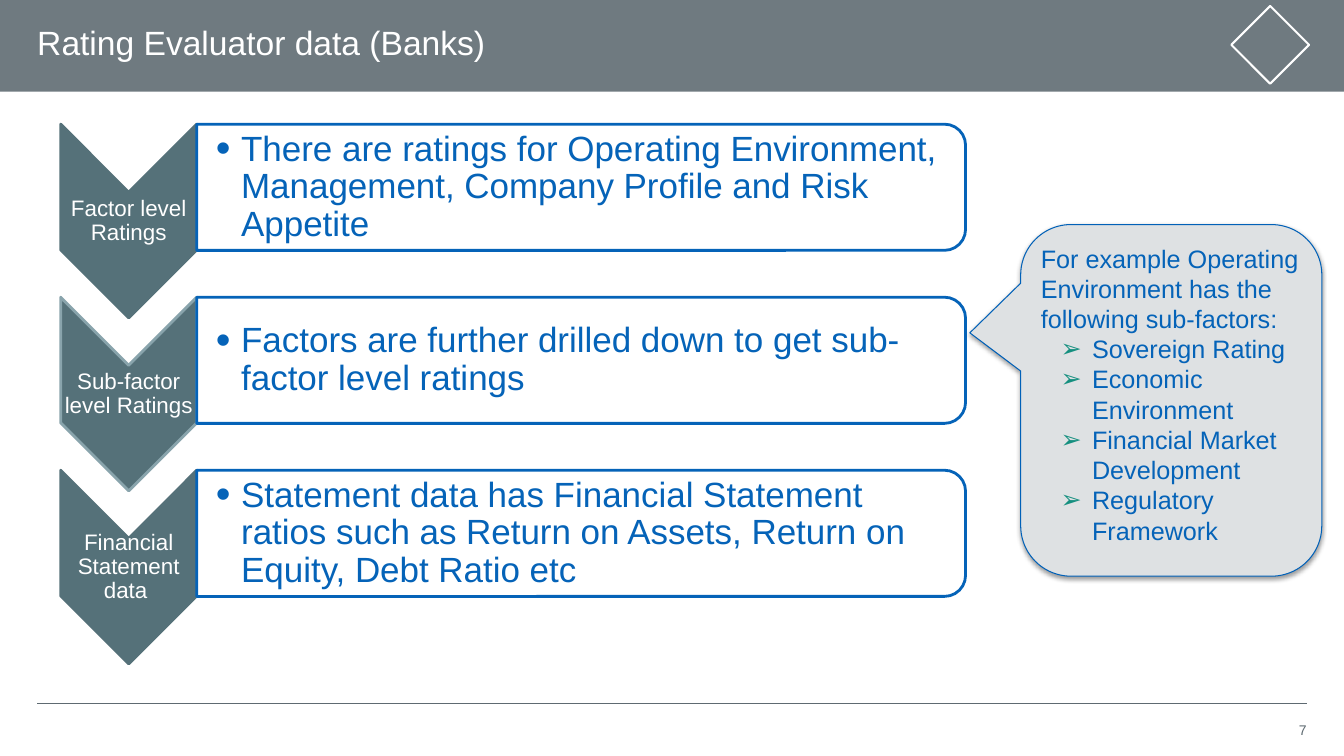
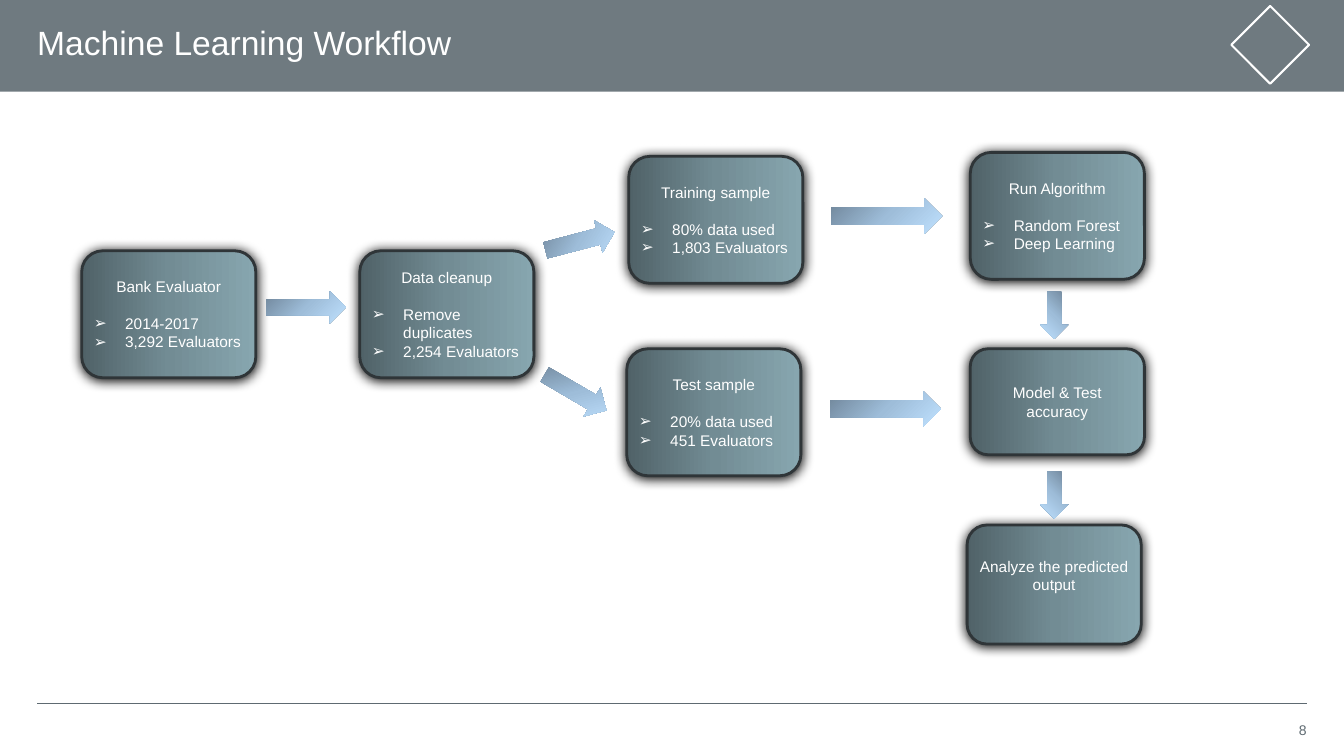
from lxml import etree
from pptx import Presentation
from pptx.dml.color import RGBColor
from pptx.enum import shapes, text
from pptx.oxml import ns
from pptx.util import Cm, Pt

HUES = {
    "band": "6F7A80", "grey": "5E6A71", "white": "FFFFFF", "teal": "557179",
    "pale": "89A4AC", "blue": "0563B8", "edge": "0161B8", "mist": "DEE1E3",
    "green": "148F7F", "dark": "2F3538", "black": "000000",
}
STEEL = ("506268", "728C94", "87A6AF")
SKY = ("6F8599", "9EBDD9", "BFE1FF")
KIND = shapes.MSO_SHAPE
ALIGN = text.PP_ALIGN
MID = text.MSO_ANCHOR.MIDDLE
FONT = "Arial"
MARK = "➢"


def hue(name):
    return RGBColor.from_string(HUES[name])


def node(root, tag, **attrs):
    return etree.SubElement(root, ns.qn(tag), {k: str(v) for k, v in attrs.items()})


def draw(slide, kind, box, fill=None, line=None, width=1, turn=0):
    x, y, w, h = box
    if turn == 90:
        x, y, w, h = x + (w - h) / 2, y + (h - w) / 2, h, w
    shape = slide.shapes.add_shape(kind, Cm(x), Cm(y), Cm(w), Cm(h))
    shape.rotation = turn
    shape.shadow.inherit = False
    if fill:
        shape.fill.solid()
        shape.fill.fore_color.rgb = hue(fill)
    else:
        shape.fill.background()
    if line:
        shape.line.color.rgb = hue(line)
        shape.line.width = Pt(width)
    else:
        shape.line.fill.background()
    return shape


def blend(shape, tones, angle):
    shape.fill.gradient()
    grad = shape._element.spPr.find(ns.qn("a:gradFill"))
    for part in list(grad):
        grad.remove(part)
    grad.set("rotWithShape", "1")
    stops = node(grad, "a:gsLst")
    for i, tone in enumerate(tones):
        node(node(stops, "a:gs", pos=i * 50000), "a:srgbClr", val=tone)
    node(grad, "a:lin", ang=angle * 60000, scaled=0)


def shade(shape, blur, dist, alpha):
    root = shape._element.spPr.find(ns.qn("a:effectLst"))
    cast = node(root, "a:outerShdw", blurRad=Pt(blur), dist=Pt(dist),
                dir=5400000, rotWithShape=0)
    tint = node(cast, "a:srgbClr", val=HUES["black"])
    node(tint, "a:alpha", val=alpha * 1000)


def setup(frame, pads=(0, 0, 0, 0), anchor=MID):
    frame.word_wrap = True
    frame.vertical_anchor = anchor
    frame.margin_left, frame.margin_top, frame.margin_right, frame.margin_bottom = map(Cm, pads)
    return frame


def label(slide, box, **opts):
    return setup(slide.shapes.add_textbox(*map(Cm, box)).text_frame, **opts)


def write(frame, words, size, color, align=ALIGN.LEFT, lead=None, after=None):
    para = frame.paragraphs[0]
    if para.runs:
        para = frame.add_paragraph()
    para.alignment = align
    if lead:
        para.line_spacing = lead
    if after:
        para.space_after = Pt(after)
    run = para.add_run()
    run.text = words
    run.font.name = FONT
    run.font.size = Pt(size)
    run.font.color.rgb = hue(color)
    return para


def indent(para, left, hang=0, mark=None, color="white", scale=100):
    props = para._p.get_or_add_pPr()
    props.set("marL", str(Cm(left)))
    props.set("indent", str(Cm(-hang)))
    if mark:
        node(node(props, "a:buClr"), "a:srgbClr", val=HUES[color])
        node(props, "a:buSzPct", val=scale * 1000)
        node(props, "a:buFont", typeface=FONT)
        node(props, "a:buChar", char=mark)


def base(deck, title, page):
    slide = deck.slides.add_slide(deck.slide_layouts[6])
    draw(slide, KIND.RECTANGLE, (0, 0, 33.88, 2.31), "band")
    draw(slide, KIND.DIAMOND, (31.04, 0.15, 1.96, 1.96), None, "white", 1.5)
    rule = slide.shapes.add_connector(
        shapes.MSO_CONNECTOR.STRAIGHT, Cm(0.94), Cm(17.73), Cm(32.94), Cm(17.73))
    rule.line.color.rgb = hue("grey")
    rule.line.width = Pt(0.25)
    node(rule._element.spPr, "a:effectLst")
    write(label(slide, (0.94, 0.33, 30.07, 1.6)), title, 24, "white", lead=0.9)
    write(label(slide, (28.83, 18.06, 4.11, 0.69)), page, 10, "grey", ALIGN.RIGHT)
    return slide


def level(slide, x, y, name, words, edge):
    draw(slide, KIND.CHEVRON, (x, y, 3.43, 4.88), "teal", edge, 2, 90)
    tag = label(slide, (x, y + 1.71, 3.43, 1.47), pads=(0.03,) * 4)
    write(tag, name, 16, "white", ALIGN.CENTER, 0.9)
    draw(slide, KIND.ROUND_2_SAME_RECTANGLE, (x + 3.43, y, 19.38, 3.18),
         "white", "blue", 2, 90)
    body = label(slide, (x + 3.43, y + 0.16, 19.23, 2.87), pads=(0.48, 0.05, 0.4, 0.05))
    indent(write(body, words, 25, "blue", lead=0.9), 0.64, 0.64, "•", "blue", 120)


def callout(slide, x, y, intro, items):
    bubble = draw(slide, KIND.ROUNDED_RECTANGULAR_CALLOUT, (x, y, 7.59, 8.86),
                  "mist", "edge", 0.75, 90)
    for i, value in enumerate((-0.192, 0.669, 0.167)):
        bubble.adjustments[i] = value
    shade(bubble, 3.1, 1.6, 38)
    body = label(slide, (x, y + 0.46, 7.01, 8.46), anchor=text.MSO_ANCHOR.TOP)
    indent(write(body, intro, 18, "blue"), 0.51)
    for item in items:
        indent(write(body, item, 18, "blue"), 1.8, 0.79, MARK, "green")


def card(slide, x, y, title, items=(), h=3.2, lift=0):
    shape = draw(slide, KIND.ROUNDED_RECTANGLE, (x, y, 4.39, h), "teal", "dark", 2)
    blend(shape, STEEL, 0)
    shade(shape, 8.5, 1, 100)
    body = setup(shape.text_frame, pads=(0.15, 0.15, 0.15, 0.15 + lift))
    write(body, title, 11, "white", ALIGN.CENTER, after=13 if items else None)
    for item in items:
        indent(write(body, item, 11, "white"), 0.79, 0.79, MARK)


def arrow(slide, x, y, w, h, turn=0):
    shape = slide.shapes.add_shape(KIND.RIGHT_ARROW, Cm(x), Cm(y), Cm(w), Cm(h))
    shape.rotation = turn
    shape.shadow.inherit = False
    shape.line.fill.background()
    blend(shape, SKY, 45)


def levels(deck):
    slide = base(deck, "Rating Evaluator data (Banks)", "7")
    rows = (
        ("Factor level Ratings", "There are ratings for Operating Environment, "
         "Management, Company Profile and Risk Appetite", "teal"),
        ("Sub-factor level Ratings", "Factors are further drilled down to get "
         "sub-factor level ratings", "pale"),
        ("Financial Statement data ", "Statement data has Financial Statement ratios "
         "such as Return on Assets, Return on Equity, Debt Ratio etc", "teal"),
    )
    for i, row in enumerate(rows):
        level(slide, 1.53, 3.13 + 4.36 * i, *row)
    callout(slide, 25.73, 5.66,
            "For example Operating Environment has the following sub-factors:",
            ("Sovereign Rating", "Economic Environment",
             "Financial Market Development", "Regulatory Framework"))


def flow(deck):
    slide = base(deck, "Machine Learning Workflow", "8")
    card(slide, 2.06, 6.32, "Bank Evaluator", ("2014-2017", "3,292 Evaluators"))
    card(slide, 9.07, 6.32, "Data cleanup", ("Remove duplicates", "2,254 Evaluators"))
    card(slide, 15.85, 3.94, "Training sample", ("80% data used", "1,803 Evaluators"))
    card(slide, 15.8, 8.79, "Test sample", ("20% data used", "451 Evaluators"))
    card(slide, 24.46, 3.84, "Run Algorithm", ("Random Forest", "Deep Learning"))
    card(slide, 24.46, 8.79, "Model & Test accuracy", h=2.67)
    card(slide, 24.38, 13.23, "Analyze the predicted output", h=3, lift=0.46)
    arrow(slide, 6.71, 7.34, 2.01, 0.81)
    arrow(slide, 13.72, 5.66, 1.8, 0.84, 345.3)
    arrow(slide, 13.61, 9.47, 1.8, 0.84, 30.2)
    for x, y in ((20.96, 5), (20.93, 9.86)):
        arrow(slide, x, y, 2.79, 0.89)
    for y in (7.59, 12.12):
        arrow(slide, 25.98, y, 1.19, 0.71, 90)


def main():
    deck = Presentation()
    deck.slide_width, deck.slide_height = Cm(33.88), Cm(19.05)
    levels(deck)
    flow(deck)
    deck.save("out.pptx")


if __name__ == "__main__":
    main()
